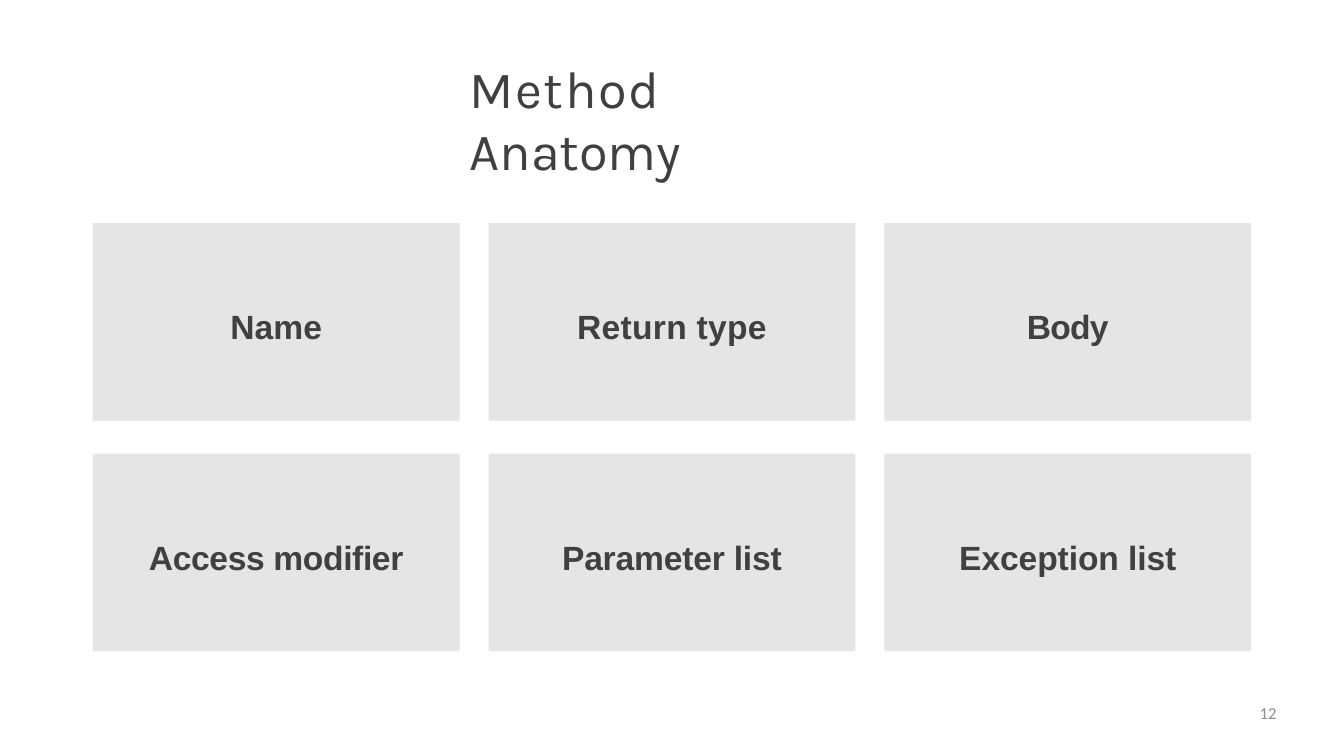
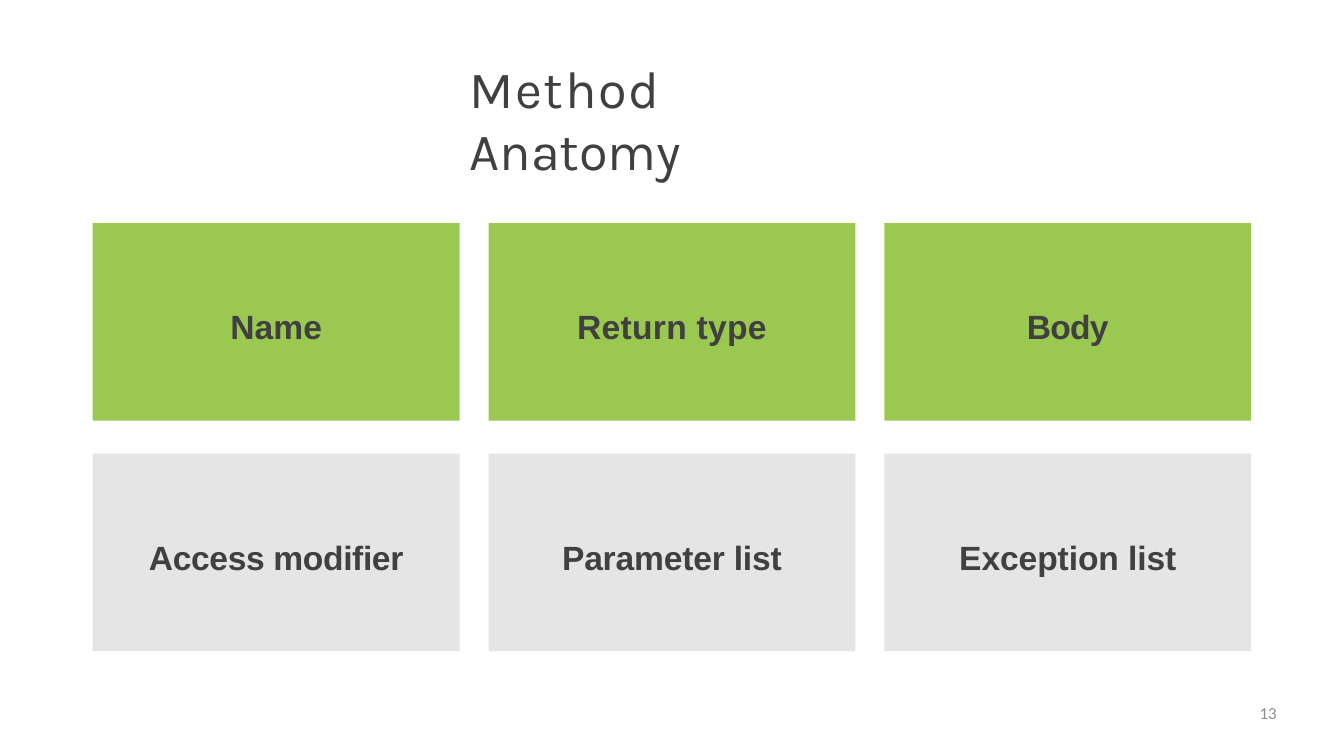
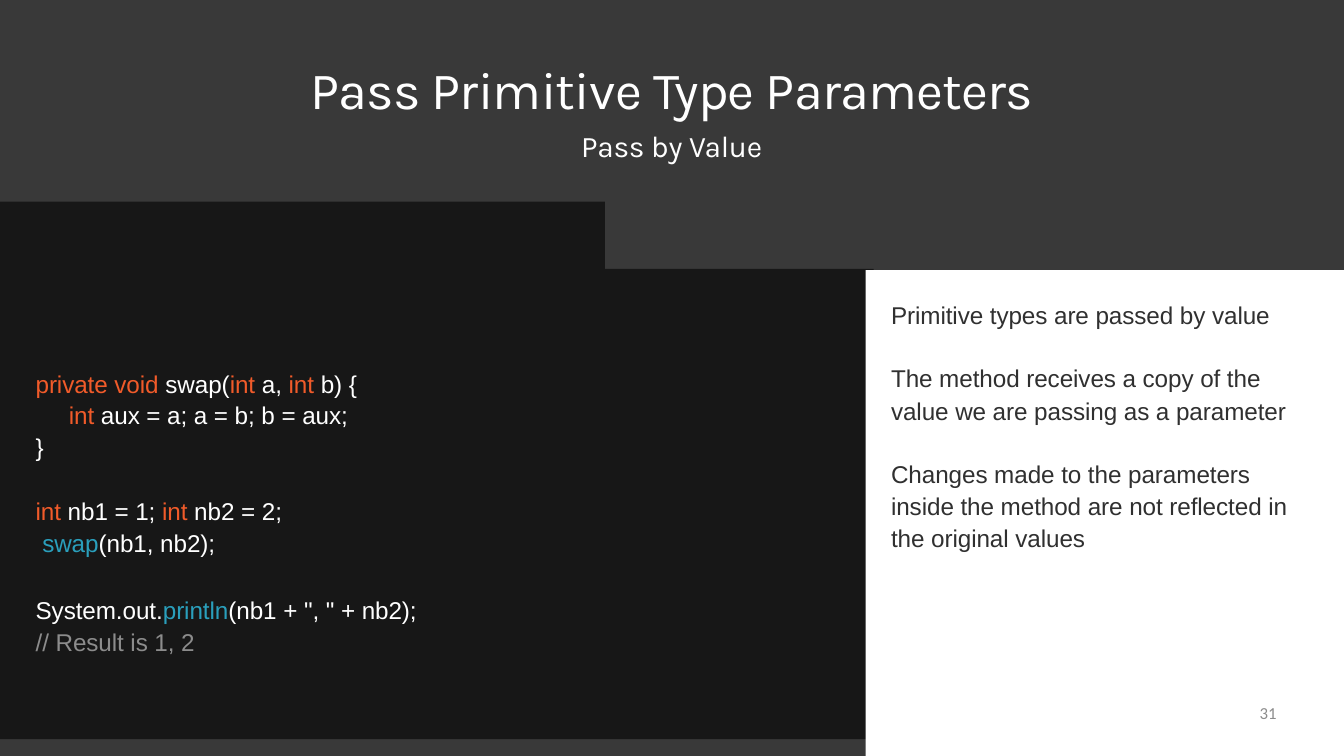
import pptx
import pptx.util
from pptx.dml.color import RGBColor
from pptx.enum.shapes import MSO_SHAPE
from pptx.enum.text import MSO_ANCHOR, MSO_AUTO_SIZE, PP_ALIGN
from pptx.util import Inches

WHITE = RGBColor(0xFF, 0xFF, 0xFF)
TEXT = RGBColor(0x40, 0x40, 0x40)
BODY = RGBColor(0x30, 0x30, 0x30)
MUTED = RGBColor(0x8C, 0x8C, 0x8C)
CARD = RGBColor(0xE5, 0xE5, 0xE5)
GREEN = RGBColor(0x9B, 0xC8, 0x50)
BACKDROP = RGBColor(0x39, 0x39, 0x39)
EDITOR = RGBColor(0x17, 0x17, 0x17)
KEYWORD = RGBColor(0xF1, 0x5B, 0x2A)
CALL = RGBColor(0x2A, 0x9F, 0xBC)

WIDTH, HEIGHT = 20, 11.25
CARD_LEFT, CARD_WIDTH, CARD_HEIGHT = 1.38, 5.46, 2.94
CARD_TOPS = [3.32, 6.75]
SPLIT_X, SPLIT_Y = 12.88, 4.02
STEP_X, STEP_Y = 8.84, 3.09

ANATOMY_TITLE = [("Method ", TEXT, 1.7), ("Anatomy", TEXT, -0.1)]
ANATOMY_CARDS = [
    [("Name", 0.1), ("Return type", 0.3), ("Body", -0.8)],
    [("Access modifier", -0.4), ("Parameter list", -0.2), ("Exception list", -0.1)],
]
ANATOMY_PAGES = [("12", [CARD, CARD]), ("13", [GREEN, CARD])]

PASS_TITLE = [("Pass Primitive Type Parameters", WHITE, -0.8)]
PASS_SUBTITLE = [("Pass by Value", WHITE, -0.3)]
CODE_BLOCKS = [
    ((0.53, 5.44, 4.85, 1.45), [
        [("private void ", KEYWORD), ("swap(", WHITE), ("int ", KEYWORD),
         ("a, ", WHITE), ("int ", KEYWORD), ("b) {", WHITE)],
        [("     int ", KEYWORD), ("aux = a; a = b; b = aux;", WHITE)],
        [("}", WHITE)],
    ]),
    ((0.53, 7.34, 4.85, 0.97), [
        [("int ", KEYWORD), ("nb1 = 1; ", WHITE), ("int ", KEYWORD), ("nb2 = 2;", WHITE)],
        [(" swap", CALL), ("(nb1, nb2);", WHITE)],
    ]),
    ((0.53, 8.81, 5.85, 0.97), [
        [("System.out.", WHITE), ("println", CALL), ('(nb1 + ", " + nb2);', WHITE)],
        [("// Result is 1, 2", MUTED)],
    ]),
]
NOTES = [
    ((13.26, 4.46, 5.96, 0.46), "Primitive types are passed by value", 1.0),
    ((13.26, 5.35, 5.96, 0.99),
     "The method receives a copy of the value we are passing as a parameter", 1.12),
    ((13.26, 6.78, 5.98, 1.47),
     "Changes made to the parameters inside the method are not reflected in "
     "the original values", 1.1),
]


def write(shape, lines, size, name="Arial", align=PP_ALIGN.LEFT, spacing=1.0,
          anchor=MSO_ANCHOR.TOP, inset=0.01, bold=False):
    frame = shape.text_frame
    frame.word_wrap = True
    frame.auto_size = MSO_AUTO_SIZE.NONE
    frame.vertical_anchor = anchor
    frame.margin_left = frame.margin_right = frame.margin_bottom = 0
    frame.margin_top = Inches(inset)
    for index, spans in enumerate(lines):
        para = frame.add_paragraph() if index else frame.paragraphs[0]
        para.alignment = align
        para.line_spacing = spacing
        para.font.name = name
        para.font.size = pptx.util.Pt(size)
        para.font.bold = bold
        for text, color, *tracking in spans:
            span = para.add_run()
            span.text = text
            span.font.color.rgb = color
            points = tracking[0] if tracking else -0.1
            span._r.get_or_add_rPr().set("spc", str(round(points * 100)))
    return frame


def add_text(page, place, lines, size, **style):
    box = page.shapes.add_textbox(*map(Inches, place))
    return write(box, lines, size, **style)


def paint(shape, color):
    shape.shadow.inherit = False
    shape.fill.solid()
    shape.fill.fore_color.rgb = color
    shape.line.fill.background()
    return shape


def add_panel(page, place, color):
    return paint(page.shapes.add_shape(MSO_SHAPE.RECTANGLE, *map(Inches, place)), color)


def add_page(deck, number, place, title, **style):
    page = deck.slides.add_slide(deck.slide_layouts[5])
    heading = page.shapes.title
    heading.left, heading.top, heading.width, heading.height = map(Inches, place)
    write(heading, [title], 56, name="Karla", **style)
    add_text(page, (14.4, 10.46, 4.6, 0.56), [[(number, MUTED, 0)]], 18,
             name="Calibri", align=PP_ALIGN.RIGHT, inset=0)
    return page


def add_anatomy(deck, number, row_colors):
    page = add_page(deck, number, (6.99, 0.82, 6.03, 0.96), ANATOMY_TITLE)
    step = (WIDTH - 2 * CARD_LEFT - CARD_WIDTH) / 2
    for top, color, labels in zip(CARD_TOPS, row_colors, ANATOMY_CARDS):
        for column, (label, tracking) in enumerate(labels):
            place = (CARD_LEFT + column * step, top, CARD_WIDTH, CARD_HEIGHT)
            write(add_panel(page, place, color), [[(label, TEXT, tracking)]], 36,
                  align=PP_ALIGN.CENTER, anchor=MSO_ANCHOR.MIDDLE, inset=0.13, bold=True)


def add_pass_by_value(deck):
    page = add_page(deck, "31", (4.61, 0.64, 10.77, 1.8), PASS_TITLE,
                    align=PP_ALIGN.CENTER, inset=0.21)
    frame = page.shapes.title.text_frame
    subtitle = frame.add_paragraph()
    subtitle.alignment = PP_ALIGN.CENTER
    subtitle.space_before = pptx.util.Pt(7.9)
    subtitle.font.name = "Karla"
    subtitle.font.size = pptx.util.Pt(32)
    for text, color, tracking in PASS_SUBTITLE:
        span = subtitle.add_run()
        span.text = text
        span.font.color.rgb = color
        span._r.get_or_add_rPr().set("spc", str(round(tracking * 100)))

    front = [shape.element for shape in page.shapes]
    add_panel(page, (0, 0, WIDTH, HEIGHT), BACKDROP)
    outline = page.shapes.build_freeform(SPLIT_X, SPLIT_Y, scale=Inches(1))
    outline.add_line_segments([
        (STEP_X, SPLIT_Y), (STEP_X, STEP_Y), (0, STEP_Y), (0, HEIGHT), (SPLIT_X, HEIGHT),
    ])
    paint(outline.convert_to_shape(), EDITOR)
    add_panel(page, (SPLIT_X, SPLIT_Y, WIDTH - SPLIT_X, HEIGHT - SPLIT_Y), WHITE)
    for element in front:
        element.getparent().append(element)

    for place, lines in CODE_BLOCKS:
        add_text(page, place, lines, 26, spacing=1.09)
    for place, text, spacing in NOTES:
        add_text(page, place, [[(text, BODY)]], 26, spacing=spacing)


def main():
    deck = pptx.Presentation()
    deck.slide_width, deck.slide_height = Inches(WIDTH), Inches(HEIGHT)
    for number, row_colors in ANATOMY_PAGES:
        add_anatomy(deck, number, row_colors)
    add_pass_by_value(deck)
    deck.save("out.pptx")


if __name__ == "__main__":
    main()
